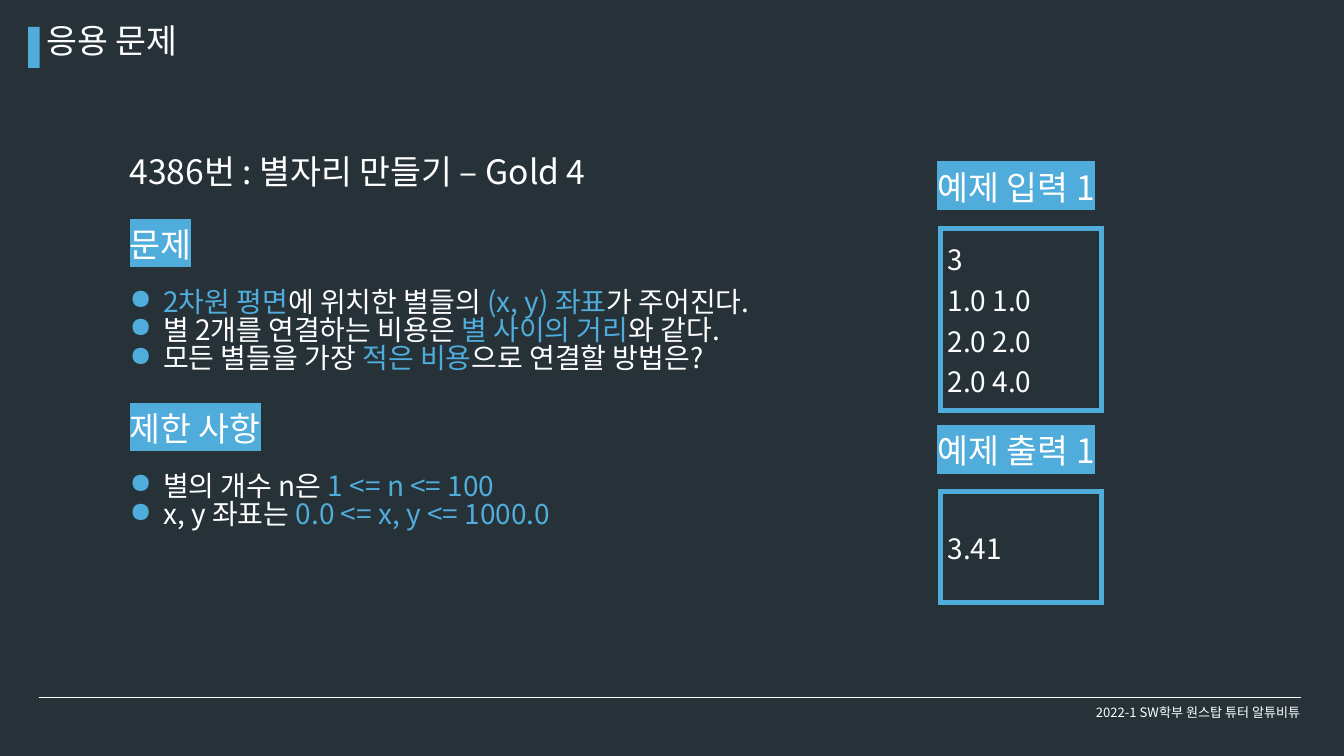
import pptx
import pptx.dml.color
import pptx.enum.shapes
import pptx.enum.text
import pptx.oxml
import pptx.oxml.ns
import pptx.util
from pptx.util import Inches

RGBColor = pptx.dml.color.RGBColor
PP_ALIGN = pptx.enum.text.PP_ALIGN
MSO_ANCHOR = pptx.enum.text.MSO_ANCHOR
qn = pptx.oxml.ns.qn

BACKGROUND = RGBColor(0x26, 0x32, 0x38)
ACCENT = RGBColor(0x4F, 0xAC, 0xDB)
WHITE = RGBColor(0xFF, 0xFF, 0xFF)
FONT = "Noto Sans CJK KR"
NS = pptx.oxml.ns.nsdecls("a")


def write(tf, text, size=36, spacing=0.84, align=PP_ALIGN.LEFT,
          anchor=MSO_ANCHOR.TOP, bullet=False, highlight=False):
    """Fill tf with one paragraph per line; parts between asterisks take the accent colour."""
    tf.word_wrap = True
    tf.vertical_anchor = anchor
    for i, line in enumerate(text.split("\n")):
        p = tf.paragraphs[0] if i == 0 else tf.add_paragraph()
        p.alignment = align
        p.line_spacing = spacing
        if bullet:
            pPr = p._p.get_or_add_pPr()
            pPr.set("marL", str(Inches(0.5)))
            pPr.set("indent", str(-Inches(0.5)))
            pPr.append(pptx.oxml.parse_xml(
                f'<a:buClr {NS}><a:srgbClr val="{ACCENT}"/></a:buClr>'))
            pPr.append(pptx.oxml.parse_xml(f'<a:buChar {NS} char="●"/>'))
        for j, part in enumerate(line.split("*")):
            if not part:
                continue
            r = p.add_run()
            r.text = part
            r.font.size = pptx.util.Pt(size)
            r.font.color.rgb = ACCENT if j % 2 else WHITE
            rPr = r._r.get_or_add_rPr()
            if highlight:
                rPr.append(pptx.oxml.parse_xml(
                    f'<a:highlight {NS}><a:srgbClr val="{ACCENT}"/></a:highlight>'))
            for tag in ("latin", "ea"):
                rPr.append(pptx.oxml.parse_xml(f'<a:{tag} {NS} typeface="{FONT}"/>'))


prs = pptx.Presentation()
prs.slide_width = Inches(20)
prs.slide_height = Inches(11.25)
s = prs.slides.add_slide(prs.slide_layouts[5])
s.background.fill.solid()
s.background.fill.fore_color.rgb = BACKGROUND

# Frame: footer rule, title marker, title and footer
rule = s.shapes.add_connector(pptx.enum.shapes.MSO_CONNECTOR.STRAIGHT,
                              Inches(0.58), Inches(10.38), Inches(19.36), Inches(10.38))
rule.line.color.rgb = WHITE
rule.line.width = pptx.util.Pt(0.75)
rule._element.spPr.append(pptx.oxml.parse_xml(f"<a:effectLst {NS}/>"))

marker = s.shapes.add_shape(pptx.enum.shapes.MSO_SHAPE.RECTANGLE,
                            Inches(0.42), Inches(0.4), Inches(0.17), Inches(0.61))
marker.shadow.inherit = False
marker.fill.solid()
marker.fill.fore_color.rgb = ACCENT
marker.line.fill.background()

title = s.shapes.title
title.left, title.top = Inches(0.59), Inches(0.35)
title.width, title.height = Inches(9.5), Inches(0.71)
title.text_frame.auto_size = pptx.enum.text.MSO_AUTO_SIZE.SHAPE_TO_FIT_TEXT
write(title.text_frame, "응용 문제")

footer = s.shapes.add_textbox(Inches(15.83), Inches(10.31), Inches(4), Inches(0.57))
write(footer.text_frame, "2022-1 SW학부 원스탑 튜터 알튜비튜", size=14, spacing=1.0,
      align=PP_ALIGN.CENTER, anchor=MSO_ANCHOR.MIDDLE)

# Problem statement and example labels
heading = {"highlight": True}
bullets = {"size": 30, "bullet": True}
texts = [
    (1.83, 2.29, 9.5, 0.71, "4386번 : 별자리 만들기 – Gold 4", {}),
    (1.83, 3.38, 3.58, 0.71, "문제", heading),
    (1.83, 4.26, 14.5, 1.62,
     "*2차원 평면*에 위치한 별들의 *(x, y) 좌표*가 주어진다.\n"
     "별 2개를 연결하는 비용은 *별 사이의 거리*와 같다.\n"
     "모든 별들을 가장 *적은 비용*으로 연결할 방법은?", bullets),
    (1.83, 6.12, 3.58, 0.71, "제한 사항", heading),
    (1.83, 7, 11.5, 1.11,
     "별의 개수 n은 *1 <= n <= 100*\n"
     "x, y 좌표는 *0.0 <= x, y <= 1000.0*", bullets),
    (13.85, 2.53, 3.58, 0.71, "예제 입력 1", heading),
    (13.85, 6.45, 3.58, 0.71, "예제 출력 1", heading),
]
for x, y, w, h, text, style in texts:
    tf = s.shapes.add_textbox(Inches(x), Inches(y), Inches(w), Inches(h)).text_frame
    tf.auto_size = pptx.enum.text.MSO_AUTO_SIZE.SHAPE_TO_FIT_TEXT
    write(tf, text, **style)

# Example data
for y, h, text in [(3.4, 2.71, "3\n1.0 1.0\n2.0 2.0\n2.0 4.0"), (7.32, 1.64, "3.41")]:
    table = s.shapes.add_table(1, 1, Inches(14), Inches(y), Inches(2.39), Inches(h)).table
    table.first_row = table.horz_banding = False
    cell = table.cell(0, 0)
    cell.fill.background()
    write(cell.text_frame, text, size=30, spacing=1.0)
    cell.vertical_anchor = MSO_ANCHOR.MIDDLE
    tcPr = cell._tc.get_or_add_tcPr()
    for i, side in enumerate("LRTB"):
        tcPr.insert(i, pptx.oxml.parse_xml(
            f'<a:ln{side} {NS} w="{pptx.util.Pt(6)}"><a:solidFill>'
            f'<a:srgbClr val="{ACCENT}"/></a:solidFill></a:ln{side}>'))

prs.save("out.pptx")
